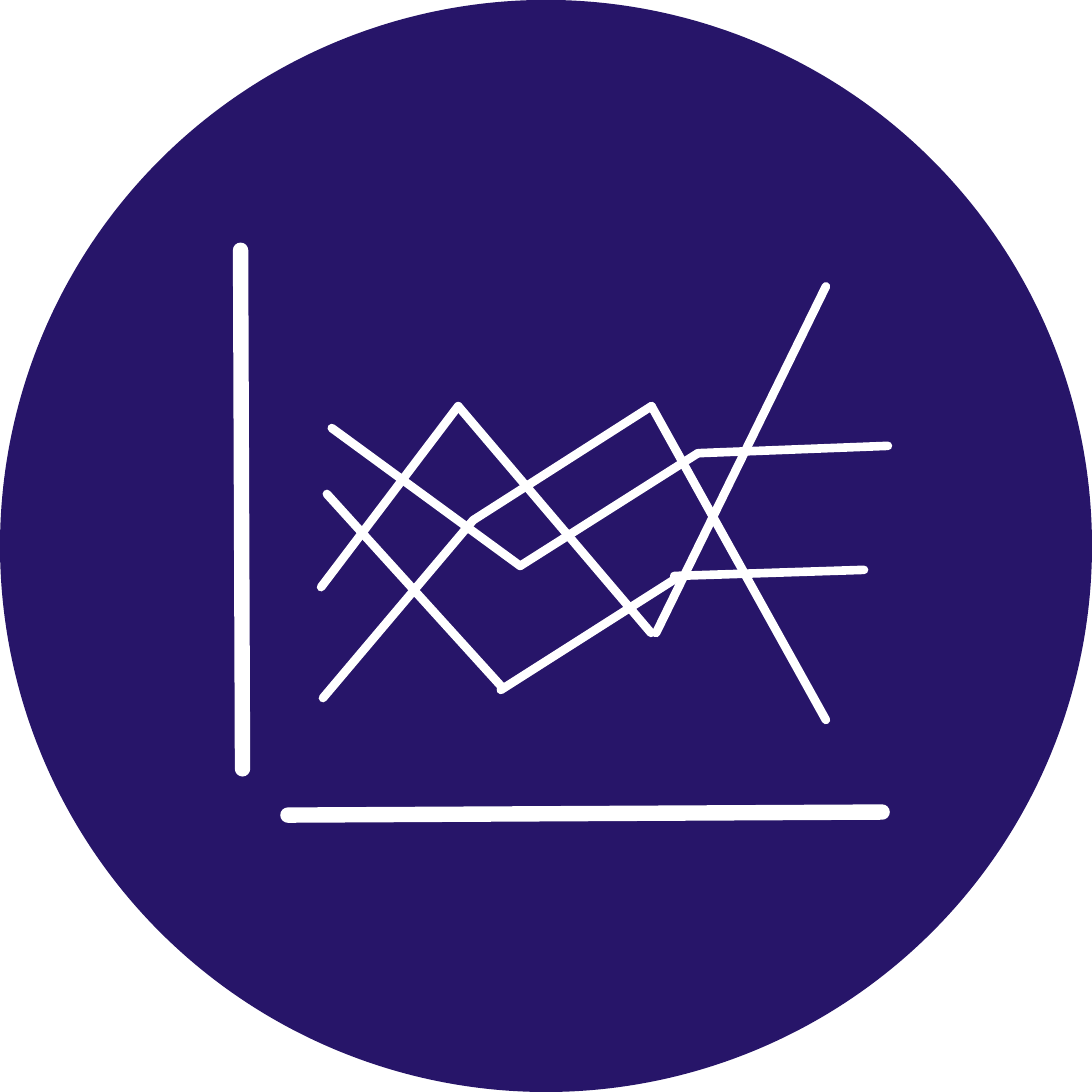
"""Draw a round line chart icon with two axes and four zigzag trends."""
from itertools import pairwise

from lxml import etree
from pptx import Presentation
from pptx.dml.color import RGBColor
from pptx.enum import shapes
from pptx.oxml import ns
from pptx.util import Pt

SIDE = 283.6
COLORS = {"disc": "271569", "line": "FFFFFF"}
WIDTHS = {"axis": 4, "trend": 2.25}
AXES = [
    [(62.5, 65), (63, 199.7)],
    [(229.1, 210.9), (74.8, 211.7)],
]
TRENDS = [
    [(83.4, 152.5), (119, 105.5), (169.1, 164.4)],
    [(170.4, 164.4), (214.5, 74.4)],
    [(83.9, 181.3), (122.9, 135.1), (169.2, 105.5), (214.5, 187)],
    [(84.9, 128.3), (130.6, 178.7)],
    [(130.1, 179.2), (176.1, 149.9)],
    [(175.1, 149.6), (224.4, 148)],
    [(86.2, 111.2), (135.1, 147), (181.3, 117.7), (230.6, 115.8)],
]


class Icon:
    """Hold the colours, line widths and current slide."""

    def __init__(self, slide, colors, widths):
        self.slide = slide
        self.colors = colors
        self.widths = widths

    def color(self, name):
        return RGBColor.from_string(self.colors[name])

    def disc(self, side):
        disc = self.slide.shapes.add_shape(
            shapes.MSO_SHAPE.OVAL, 0, 0, Pt(side), Pt(side))
        disc.shadow.inherit = False
        disc.fill.solid()
        disc.fill.fore_color.rgb = self.color("disc")
        disc.line.fill.background()

    def line(self, start, end, kind):
        ends = [Pt(value) for value in (*start, *end)]
        line = self.slide.shapes.add_connector(
            shapes.MSO_CONNECTOR.STRAIGHT, *ends)
        line.line.color.rgb = self.color("line")
        line.line.width = Pt(self.widths[kind])
        line.get_or_add_ln().set("cap", "rnd")
        props = line.element.find(ns.qn("p:spPr"))
        etree.SubElement(props, ns.qn("a:effectLst"))

    def route(self, points, kind):
        for start, end in pairwise(points):
            self.line(start, end, kind)


deck = Presentation()
deck.slide_width = deck.slide_height = Pt(SIDE)
icon = Icon(deck.slides.add_slide(deck.slide_layouts[6]), COLORS, WIDTHS)
icon.disc(SIDE)
for kind, routes in (("axis", AXES), ("trend", TRENDS)):
    for points in routes:
        icon.route(points, kind)
deck.save("out.pptx")
